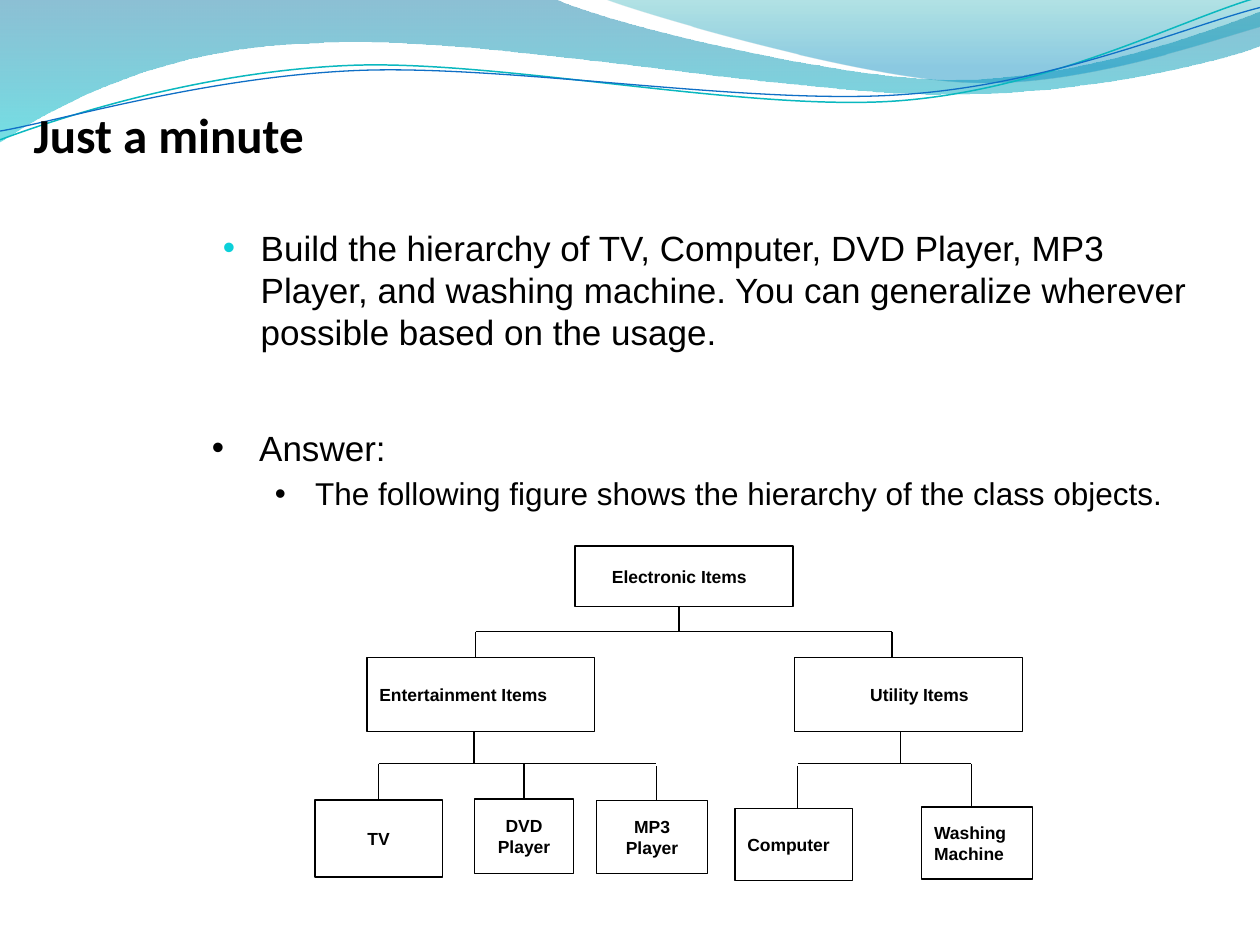
from math import cos, radians, sin

from lxml.etree import SubElement
from pptx import Presentation
from pptx.dml.color import RGBColor
from pptx.enum.shapes import MSO_CONNECTOR as Link, MSO_SHAPE as Preset
from pptx.enum.text import MSO_ANCHOR as Anchor, MSO_AUTO_SIZE as AutoSize, PP_ALIGN as Align
from pptx.oxml.ns import qn
from pptx.util import Pt

colour = RGBColor.from_string
BLACK, WHITE = "000000", "FFFFFF"


def add_curve(page, start, segments, closed):
    """Draw a freeform of cubic (3 points) and straight (1 point) segments."""
    builder = page.shapes.build_freeform(Pt(start[0]), Pt(start[1]))
    builder.add_line_segments([(Pt(s[-1][0]), Pt(s[-1][1])) for s in segments], close=closed)
    curve = builder.convert_to_shape()
    curve.shadow.inherit = False
    for node, segment in zip(list(curve._element.iter(qn("a:lnTo"))), segments):
        if len(segment) == 3:
            node.remove(node[0])
            for x, y in segment:
                SubElement(node, qn("a:pt"), x=str(Pt(x) - curve.left), y=str(Pt(y) - curve.top))
            bend = node.getparent().makeelement(qn("a:cubicBezTo"))
            bend.extend(list(node))
            node.getparent().replace(node, bend)
    return curve


def add_span(para, text, size, font="Arial", bold=False):
    span = para.add_run()
    span.text = text
    span.font.name = font
    span.font.size = Pt(size)
    span.font.bold = bold
    span.font.color.rgb = colour(BLACK)


deck = Presentation()
deck.slide_width, deck.slide_height = Pt(720), Pt(540)
page = deck.slides.add_slide(deck.slide_layouts[1])
title, body = page.shapes.title, page.placeholders[1]

# Filled waves: start, segments, gradient stops (position, colour, opacity)
waves = [
    ((0, 0),
     [[(316.8, -0.7)],
      [(342.7, 12.2), (478.1, 45.4), (545.8, 45.4)],
      [(614.2, 45.4), (689.8, 18.7), (720, 6.5)],
      [(720.7, 25.9)],
      [(707.8, 31.7), (626.4, 54.7), (537.1, 54)],
      [(447.8, 54), (275, 20.2), (185, 24.5)],
      [(92.9, 25.9), (33.1, 59.8), (-0.7, 81.4)],
      [(0, 0)]],
     [(0, "0074A1", 45), (1, "00C6CF", 55)]),
    ((344.9, -0.7),
     [[(366.5, 7.9), (491, 44.6), (553.7, 46.8)],
      [(616.3, 49.7), (691.9, 23), (720, 15.1)],
      [(720, 0)],
      [(344.9, -0.7)]],
     [(0, "00A1A9", 30), (0.8, "008BBF", 45)]),
]
for start, segments, stops in waves:
    wave = add_curve(page, start, segments, True)
    wave.line.fill.background()
    wave.fill.gradient()
    wave.fill.gradient_angle = 270
    for stop, (position, shade, _) in zip(wave.fill.gradient_stops, stops):
        stop.position = position
        stop.color.rgb = colour(shade)
    for node, (_, _, opacity) in zip(wave._element.spPr.iter(qn("a:srgbClr")), stops):
        SubElement(node, qn("a:alpha"), val=str(opacity * 1000))

# Thin wave lines, levelled about their centre and then tilted as a whole
TILT = 2.7
strokes = [
    ((0, 79.9),
     [[(34.6, 67), (113.8, 41), (199.4, 37.4)],
      [(284.4, 33.8), (427, 64.1), (513.4, 57.6)],
      [(599.8, 51.1), (675.4, 10.8), (718.6, -1.4)]], (359.3, 41.4), "0AB8BF", 0.85),
    ((0, 74.9),
     [[(33.8, 69.1), (118.1, 43.9), (203.8, 40.3)],
      [(290.2, 36.7), (429.8, 60.5), (516.2, 54)],
      [(601.9, 48.2), (677.5, 15.1), (720, 4.3)]], (359.7, 42.5), "0F6FC6", 0.75),
]
cosine, sine = cos(radians(TILT)), sin(radians(TILT))
for start, segments, (mid_x, mid_y), shade, width in strokes:
    level = [[(mid_x + (x - mid_x) * cosine - (y - mid_y) * sine,
               mid_y + (x - mid_x) * sine + (y - mid_y) * cosine) for x, y in points]
             for points in [[start], *segments]]
    stroke = add_curve(page, level[0][0], level[1:], False)
    stroke.rotation = 360 - TILT
    stroke.fill.background()
    stroke.line.color.rgb = colour(shade)
    stroke.line.width = Pt(width)

# Title and question, in front of the waves
for holder, place in ((title, (12, 56.2, 617.8, 41)), (body, (120.2, 126, 576, 84.2))):
    holder._element.getparent().append(holder._element)
    holder.left, holder.top, holder.width, holder.height = map(Pt, place)
    holder.text_frame.auto_size = AutoSize.NONE
    holder.text_frame.vertical_anchor = Anchor.TOP
heading = title.text_frame.paragraphs[0]
heading.alignment = Align.LEFT
add_span(heading, "Just a minute", 28, "Calibri", True)

# Answer panel
answer = page.shapes.add_shape(Preset.RECTANGLE, Pt(114), Pt(240), Pt(582), Pt(252))
answer.shadow.inherit = False
answer.fill.solid()
answer.fill.fore_color.rgb = colour(WHITE)
answer.line.fill.background()
answer.text_frame.word_wrap = True
answer.text_frame.vertical_anchor = Anchor.TOP

# Bulleted text: paragraph, level, margin, hanging, space before, size, bullet colour, text
bullets = [
    (body.text_frame.paragraphs[0], 0, 21.6, 21.6, 4, 20, "0BD0D9",
     "Build the hierarchy of TV, Computer, DVD Player, MP3 Player, and washing machine. "
     "You can generalize wherever possible based on the usage."),
    (answer.text_frame.paragraphs[0], 0, 27, 27, 4, 20, BLACK, "Answer:"),
    (answer.text_frame.add_paragraph(), 1, 59, 23, 3.6, 18, BLACK,
     "The following figure shows the hierarchy of the class objects."),
]
for para, level, margin, hanging, before, size, shade, text in bullets:
    para.level = level
    para.alignment = Align.LEFT
    para.space_before = Pt(before)
    props = para._p.get_or_add_pPr()
    props.set("marL", str(Pt(margin)))
    props.set("indent", str(-Pt(hanging)))
    SubElement(SubElement(props, qn("a:buClr")), qn("a:srgbClr"), val=shade)
    SubElement(props, qn("a:buFont"), typeface="Arial")
    SubElement(props, qn("a:buChar"), char="•")
    add_span(para, text, size)

# Hierarchy boxes: text runs, left, top, width, height, alignment, text margin
hierarchy = page.shapes.add_group_shape().shapes
items = [
    (["Electronic Items"], 328.6, 312, 124.6, 34.8, Align.LEFT, 14),
    (["Entertainment Items"], 209.7, 375.8, 130.2, 42.2, Align.LEFT, 0),
    (["Utility", " ", "Items"], 454.2, 375.8, 130.2, 42.2, Align.LEFT, 36),
    (["TV"], 180, 457.2, 72.7, 43.9, Align.CENTER, 0),
    (["DVD Player"], 271, 456.5, 56.9, 42.5, Align.CENTER, 0),
    (["MP3 Player"], 340.9, 457.6, 63.4, 41.4, Align.CENTER, 0),
    (["Computer"], 420, 462.2, 67, 41, Align.LEFT, 0),
    (["Washing", " ", "Machine"], 526.7, 461.2, 63.4, 41.2, Align.LEFT, 0),
]
boxes, middle = {}, {}
for words, left, top, width, height, alignment, margin in items:
    box = hierarchy.add_shape(Preset.RECTANGLE, Pt(left), Pt(top), Pt(width), Pt(height))
    box.shadow.inherit = False
    box.fill.solid()
    box.fill.fore_color.rgb = colour(WHITE)
    box.line.color.rgb = colour(BLACK)
    box.line.width = Pt(0.75)
    box.text_frame.word_wrap = True
    box.text_frame.vertical_anchor = Anchor.MIDDLE
    para = box.text_frame.paragraphs[0]
    para.alignment = alignment
    para._p.get_or_add_pPr().set("marL", str(Pt(margin)))
    for word in words:
        add_span(para, word, 9 if word == " " else 10, bold=True)
    boxes[words[0]], middle[words[0]] = box, left + width / 2

# Branch lines: from x, from y, to x, to y, box joined at its top
UPPER, LOWER = 360.9, 436.4
tv, dvd = middle["TV"], middle["DVD Player"]
lines = [
    (271.8, UPPER, 509.8, UPPER, None),
    (509.8, UPPER, 509.8, 375.5, None),
    (271.8, UPPER, 271.8, 375.5, None),
    (tv, LOWER, 375, LOWER, None),
    (375, LOWER + 1.3, 375, 457.6, None),
    (dvd, LOWER, dvd, 456.5, "DVD Player"),
    (tv, LOWER, tv, 457.2, "TV"),
    (455.9, LOWER, 555.1, LOWER, None),
    (555.1, LOWER, 555.1, 461.2, None),
    (455.9, LOWER + 1.3, 455.9, 462.2, None),
    (388, 346.8, 388, UPPER, None),
    (514.6, 418, 514.6, 435.8, None),
    (270.9, 418, 270.9, LOWER, None),
]
for *ends, name in lines:
    line = hierarchy.add_connector(Link.STRAIGHT, *map(Pt, ends))
    if name:
        line.end_connect(boxes[name], 0)
    line.line.color.rgb = colour(BLACK)
    line.line.width = Pt(0.75)
    SubElement(line._element.spPr, qn("a:effectLst"))

deck.save("out.pptx")
